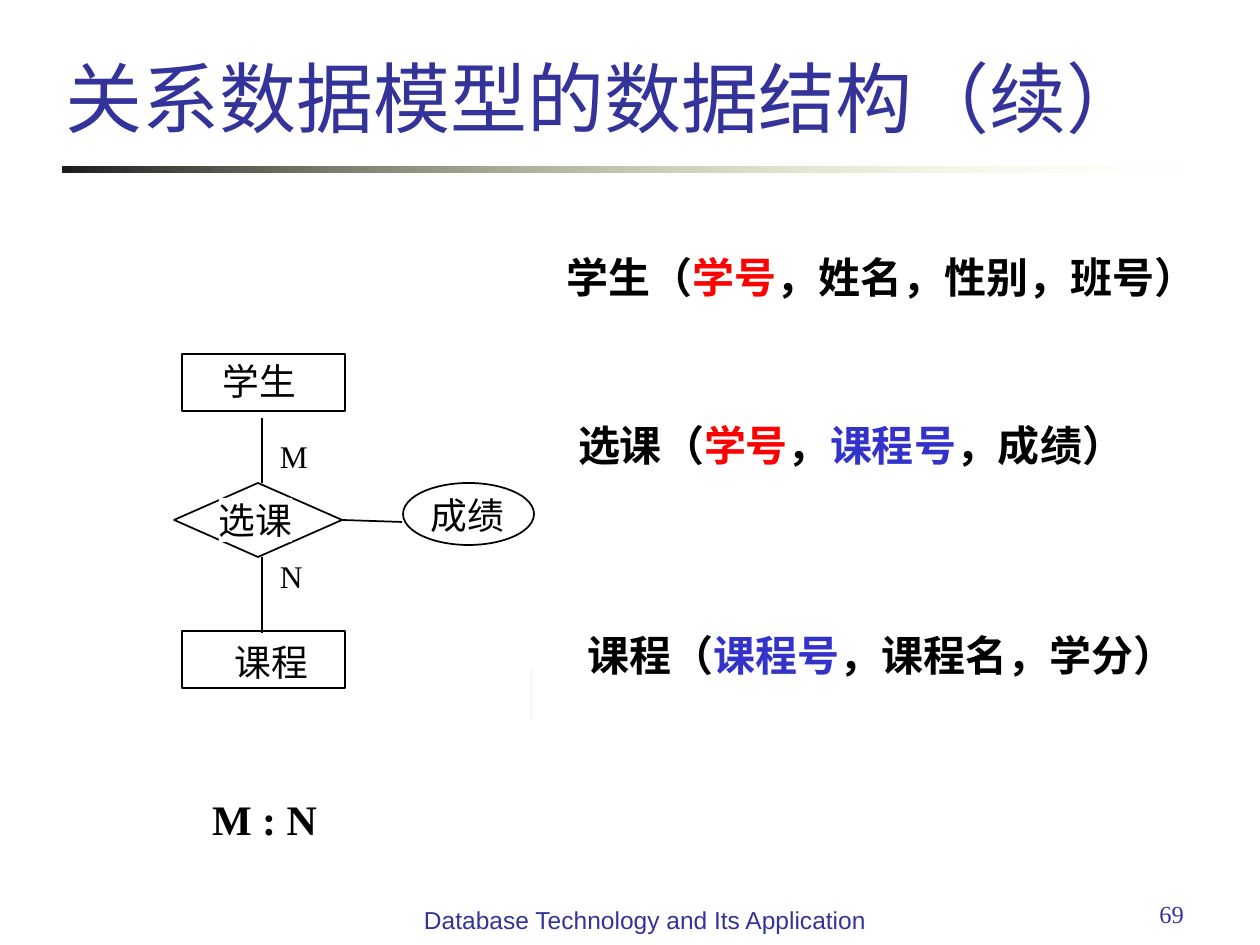
from lxml.etree import SubElement as Sub
from pptx import Presentation
from pptx.dml.color import RGBColor
from pptx.enum.shapes import MSO_CONNECTOR as Link, MSO_SHAPE as Kind
from pptx.enum.text import MSO_ANCHOR as Anchor, MSO_AUTO_SIZE as Auto, PP_ALIGN as Align
from pptx.oxml.ns import qn
from pptx.util import Pt

PX = 914400 / 126
BLACK, WHITE, RED, BLUE, NAVY = "000000", "FFFFFF", "FF0000", "3333CC", "333399"
HAN, ROMAN = "Noto Sans CJK SC", "Times New Roman"


def emu(*vals):
    """Turn px into EMU."""
    return [round(v * PX) for v in vals]


def paint(color):
    """Turn a hex string into a colour."""
    return RGBColor.from_string(color)


def write(shape, parts, size, face=HAN, color=BLACK, bold=False, align=Align.LEFT, pad=(0, 0)):
    """Write one paragraph of (text, colour) parts into a shape."""
    frame = shape.text_frame
    frame.auto_size = Auto.NONE
    frame.margin_left, frame.margin_top = frame.margin_right, frame.margin_bottom = emu(*pad)
    para = frame.paragraphs[0]
    para.alignment = align
    font = para.font
    font.size, font.bold, font.name = Pt(size), bold, face
    font.color.rgb = paint(color)
    Sub(para._p.pPr.find(qn("a:defRPr")), qn("a:ea"), typeface=HAN)
    for text, tint in parts:
        run = para.add_run()
        run.text = text
        if tint != color:
            run.font.color.rgb = paint(tint)
    return frame


def label(slide, box, text, size, face, wrap=False, **look):
    """Add a text box in one colour."""
    shape = slide.shapes.add_textbox(*emu(*box))
    frame = write(shape, [(text, look.get("color", BLACK))], size, face, **look)
    frame.word_wrap = wrap


def block(slide, kind, box, fill=None, line=None):
    """Add a plain shape with an optional fill and line."""
    shape = slide.shapes.add_shape(kind, *emu(*box))
    shape.shadow.inherit = False
    if fill:
        shape.fill.solid()
        shape.fill.fore_color.rgb = paint(fill)
    else:
        shape.fill.background()
    if line:
        shape.line.color.rgb = paint(line)
        shape.line.width = Pt(1)
    else:
        shape.line.fill.background()
    return shape


def node(slide, kind, box, text, dx, dy):
    """Add an outlined node and its name, offset from the node's corner."""
    x, y, w, h = box
    if kind == Kind.DIAMOND:
        pen = slide.shapes.build_freeform(*emu(x + w / 2, y))
        pen.add_line_segments([emu(x, y + h / 2), emu(x + w / 2, y + h), emu(x + w, y + h / 2)])
        shape = pen.convert_to_shape()
        shape.shadow.inherit = False
        shape.fill.background()
        shape.line.color.rgb = paint(BLACK)
        shape.line.width = Pt(1)
    else:
        block(slide, kind, box, line=BLACK)
    plate = block(slide, Kind.RECTANGLE, (x + dx, y + dy, 73, 44), WHITE)
    frame = write(plate, [(text, BLACK)], 21)
    frame.vertical_anchor, frame.word_wrap = Anchor.TOP, False


def link(slide, *ends):
    """Join two points with a black line."""
    line = slide.shapes.add_connector(Link.STRAIGHT, *emu(*ends))
    line.line.color.rgb = paint(BLACK)
    line.line.width = Pt(1)
    Sub(line._element.spPr, qn("a:effectLst"))


def head(slide, x, y, w, h):
    """Place the title and the fading rule below it."""
    title = slide.shapes.title
    title.left, title.top, title.width, title.height = emu(x, y, w, h)
    frame = write(title, [("关系数据模型的数据结构（续）", NAVY)], 44, ROMAN, NAVY, pad=(13, 6))
    frame.vertical_anchor, frame.word_wrap = Anchor.BOTTOM, True
    rule = block(slide, Kind.RECTANGLE, (x + 10, y + h + 18, 1134, 6))
    rule.fill.gradient()
    rule.fill.gradient_angle = 0
    for stop, color in zip(rule.fill.gradient_stops, ("1C1C1C", "FFFFB7")):
        stop.color.rgb = paint(color)
    Sub(rule._element.spPr.findall(".//" + qn("a:srgbClr"))[-1], qn("a:alpha"), val="0")


def schema(slide, x, y):
    """Place the three relations with their coloured keys."""
    rows = [
        (0, 0, 630, [("学生（", BLACK), ("学号", RED), ("，姓名，性别，班号）", BLACK)]),
        (11, 168, 546, [("选课（", BLACK), ("学号", RED), ("，", BLACK),
                        ("课程号", BLUE), ("，成绩）", BLACK)]),
        (21, 378, 588, [("课程（", BLACK), ("课程号", BLUE), ("，课程名，学分）", BLACK)]),
    ]
    for dx, dy, w, parts in rows:
        shape = slide.shapes.add_textbox(*emu(x + dx, y + dy, w, 50))
        write(shape, parts, 24, bold=True).word_wrap = False


def diagram(slide, x, y):
    """Place the entity diagram from its top left corner."""
    node(slide, Kind.DIAMOND, (x, y + 129, 168, 74), "选课", 45, 15)
    node(slide, Kind.RECTANGLE, (x + 8, y, 163, 57), "学生", 41, 5)
    node(slide, Kind.RECTANGLE, (x + 8, y + 277, 163, 57), "课程", 53, 9)
    node(slide, Kind.OVAL, (x + 229, y + 129, 131, 62), "成绩", 28, 10)
    for text, dy in (("M", 83), ("N", 203)):
        label(slide, (x + 106, y + dy, 28, 38), text, 18, ROMAN)
    link(slide, x + 88, y + 64, x + 88, y + 129)
    link(slide, x + 88, y + 203, x + 88, y + 279)
    link(slide, x + 168, y + 166, x + 228, y + 168)
    block(slide, Kind.RECTANGLE, (x + 358, y + 315, 0, 50), "00E4A8")
    label(slide, (x + 25, y + 434, 158, 63), "M : N", 24, ROMAN, True, bold=True, pad=(13, 6))


def foot(slide, y):
    """Place the course name and the page number."""
    label(slide, (402, y + 6, 486, 66), "Database Technology and Its Application", 14, "Arial",
          True, color=NAVY, align=Align.CENTER, pad=(13, 6))
    label(slide, (903, y, 294, 66), "69", 14, ROMAN,
          True, color=NAVY, align=Align.RIGHT, pad=(13, 6))


def main():
    """Build and save the slide."""
    deck = Presentation()
    deck.slide_width, deck.slide_height = emu(1260, 945)
    slide = deck.slides.add_slide(deck.slide_layouts[5])
    head(slide, 53, 0, 1106, 149)
    schema(slide, 567, 252)
    diagram(slide, 174, 354)
    foot(slide, 893)
    deck.save("out.pptx")


if __name__ == "__main__":
    main()
